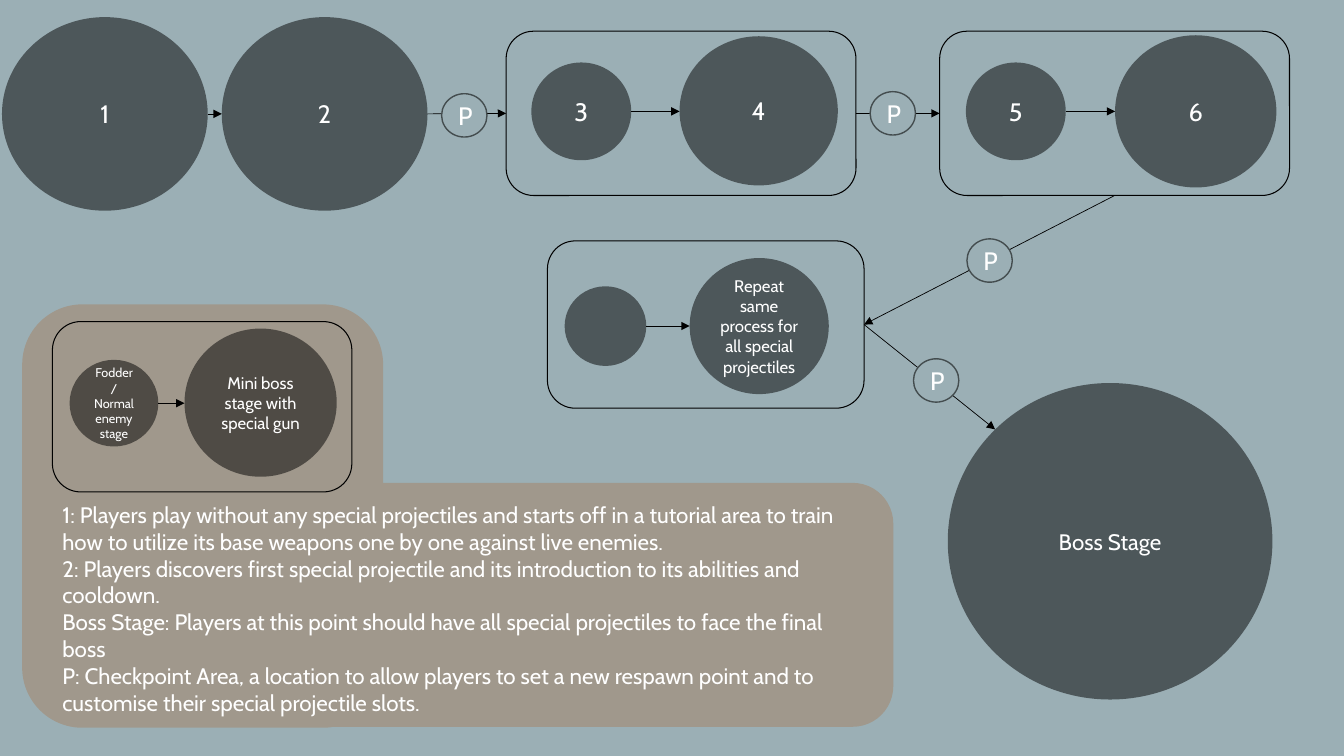
from pptx import Presentation
from pptx.dml.color import RGBColor
from pptx.enum.shapes import MSO_CONNECTOR, MSO_SHAPE
from pptx.enum.text import MSO_ANCHOR, MSO_AUTO_SIZE, PP_ALIGN
from pptx.oxml.ns import qn
from pptx.util import Inches, Pt
from lxml.etree import SubElement

TOP, LEFT, BOTTOM, RIGHT = range(4)

NOTES = [
    "1: Players play without any special projectiles and starts off in a tutorial area to train "
    "how to utilize its base weapons one by one against live enemies.",
    "2: Players discovers first special projectile and its introduction to its abilities and cooldown.",
    "Boss Stage: Players at this point should have all special projectiles to face the final boss",
    "P: Checkpoint Area, a location to allow players to set a new respawn point and to "
    "customise their special projectile slots.",
]


def color(hex_text):
    return RGBColor.from_string(hex_text)


def write(frame, paragraphs, size=18, align=PP_ALIGN.CENTER, anchor=MSO_ANCHOR.MIDDLE,
          font="Cabin", ink="FFFFFF"):
    frame.word_wrap = True
    frame.vertical_anchor = anchor
    for index, text in enumerate(paragraphs):
        paragraph = frame.add_paragraph() if index else frame.paragraphs[0]
        paragraph.alignment = align
        run = paragraph.add_run()
        run.text = text
        run.font.name = font
        run.font.size = Pt(size)
        run.font.color.rgb = color(ink)


class StageMap:
    BACKGROUND = "9BAFB5"
    PANEL = "A0988C"
    INK = "000000"
    RING = "444D4F"

    def __init__(self, slide):
        self.slide = slide
        slide.background.fill.solid()
        slide.background.fill.fore_color.rgb = color(self.BACKGROUND)

    def shape(self, kind, box, fill=None, line=None, width=0.75):
        shape = self.slide.shapes.add_shape(kind, *map(Inches, box))
        shape.shadow.inherit = False
        if fill:
            shape.fill.solid()
            shape.fill.fore_color.rgb = color(fill)
        else:
            shape.fill.background()
        if line:
            shape.line.color.rgb = color(line)
            shape.line.width = Pt(width)
        else:
            shape.line.fill.background()
        return shape

    def panel(self, *box):
        return self.shape(MSO_SHAPE.ROUNDED_RECTANGLE, box, fill=self.PANEL)

    def frame(self, *box):
        return self.shape(MSO_SHAPE.ROUNDED_RECTANGLE, box, line=self.INK)

    def stage(self, box, text="", size=18):
        """Half-transparent black circle with a centred label."""
        circle = self.shape(MSO_SHAPE.OVAL, box, fill=self.INK)
        fill_color = circle.element.spPr.find(".//" + qn("a:srgbClr"))
        SubElement(fill_color, qn("a:alpha"), val="50000")
        if text:
            write(circle.text_frame, [text], size)

    def checkpoint(self, left, top):
        circle = self.shape(MSO_SHAPE.OVAL, (left, top, 0.45, 0.43), self.BACKGROUND, self.RING, 1)
        write(circle.text_frame, ["P"])

    def arrow(self, start, end, begin=None, finish=None):
        """Arrow between two points; begin and finish are (shape, side) joints."""
        connector = self.slide.shapes.add_connector(
            MSO_CONNECTOR.STRAIGHT, *map(Inches, (*start, *end)))
        connector.line.color.rgb = color(self.INK)
        connector.line.width = Pt(0.5)
        properties = connector.element.spPr
        SubElement(properties.get_or_add_ln(), qn("a:tailEnd"), type="triangle")
        SubElement(properties, qn("a:effectLst"))
        if begin:
            connector.begin_connect(*begin)
        if finish:
            connector.end_connect(*finish)

    def stage_pair(self, frame_box, small, large):
        """Frame with a small stage leading to a large one; returns the frame."""
        frame = self.frame(*frame_box)
        self.stage(*small)
        self.stage(*large)
        left, top, width, height = small[0]
        middle = top + height / 2
        self.arrow((left + width, middle), (large[0][0], middle))
        return frame

    def notes(self, box, paragraphs):
        text_box = self.slide.shapes.add_textbox(*map(Inches, box))
        write(text_box.text_frame, paragraphs, 16, PP_ALIGN.LEFT, MSO_ANCHOR.TOP)
        text_box.text_frame.auto_size = MSO_AUTO_SIZE.SHAPE_TO_FIT_TEXT


def main():
    presentation = Presentation()
    presentation.slide_width = Inches(13.33)
    presentation.slide_height = Inches(7.5)
    stage_map = StageMap(presentation.slides.add_slide(presentation.slide_layouts[6]))

    stage_map.panel(2.51, 4.79, 6.35, 2.42)
    stage_map.panel(0.22, 3.02, 3.58, 4.2)

    stage_map.stage((0.02, 0.17, 2.04, 1.92), "1")
    stage_map.stage((2.2, 0.17, 2.04, 1.92), "2")
    first_pair = stage_map.stage_pair(
        (5.02, 0.31, 3.47, 1.63),
        ((5.27, 0.62, 0.99, 0.97), "3"),
        ((6.74, 0.36, 1.57, 1.48), "4"))
    second_pair = stage_map.stage_pair(
        (9.32, 0.31, 3.47, 1.63),
        ((9.58, 0.62, 0.99, 0.97), "5"),
        ((11.06, 0.35, 1.6, 1.51), "6"))
    repeat_pair = stage_map.stage_pair(
        (5.43, 2.39, 3.14, 1.66),
        ((5.6, 2.84, 0.81, 0.79),),
        ((6.84, 2.56, 1.38, 1.35), "Repeat same process for all special projectiles", 12))
    stage_map.stage_pair(
        (0.52, 3.19, 2.97, 1.69),
        ((0.69, 3.57, 0.88, 0.86), "Fodder/Normal enemy stage", 9),
        ((1.83, 3.26, 1.51, 1.47), "Mini boss stage with special gun", 12))
    stage_map.stage((9.4, 3.8, 3.22, 3.14), "Boss Stage", 16)

    stage_map.arrow((2.06, 1.13), (2.2, 1.13))
    stage_map.arrow((4.24, 1.13), (5.02, 1.12), finish=(first_pair, LEFT))
    stage_map.arrow((8.49, 1.12), (9.32, 1.12), (first_pair, RIGHT), (second_pair, LEFT))
    stage_map.arrow((11.06, 1.94), (8.57, 3.22), (second_pair, BOTTOM), (repeat_pair, RIGHT))
    stage_map.arrow((8.57, 3.22), (9.87, 4.26), begin=(repeat_pair, RIGHT))

    stage_map.notes((0.52, 4.92, 7.88, 2.52), NOTES)
    for left, top in [(4.38, 0.93), (8.63, 0.91), (9.59, 2.37), (9.06, 3.56)]:
        stage_map.checkpoint(left, top)

    presentation.save("out.pptx")


if __name__ == "__main__":
    main()
